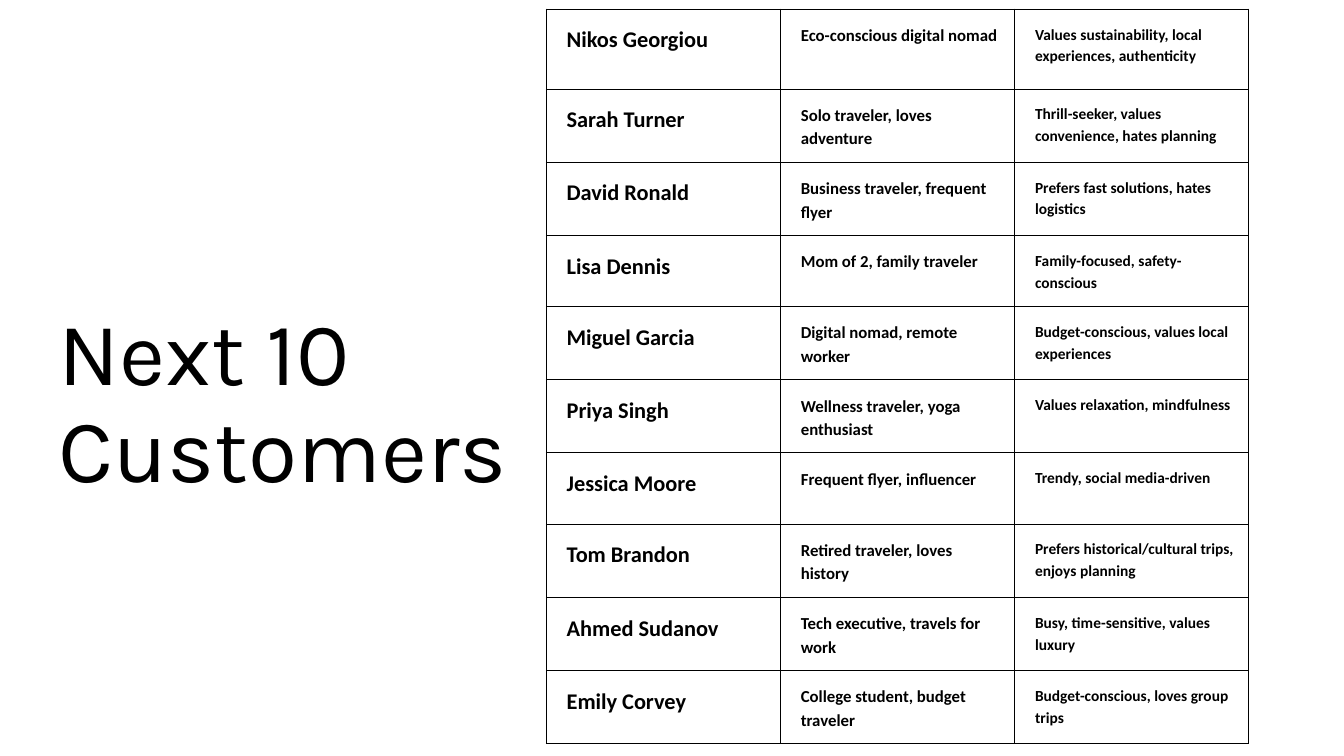
from dataclasses import dataclass

from pptx import Presentation
from pptx.dml.color import RGBColor as Color
from pptx.enum.text import MSO_ANCHOR as Anchor, PP_ALIGN as Align
from pptx.oxml import parse_xml
from pptx.oxml.ns import nsdecls
from pptx.util import Pt


@dataclass(frozen=True)
class Theme:
    ink: str = "000000"
    paper: str = "FFFFFF"
    title_font: str = "Karla"
    table_font: str = "Calibri"
    title_size: float = 64
    column_sizes: tuple = (16, 12, 11)
    border: float = 0.6
    inset: float = 9.6
    indent: float = 5


class SlideBuilder:
    def __init__(self, slide, theme):
        self.slide = slide
        self.theme = theme
        fill = slide.background.fill
        fill.solid()
        fill.fore_color.rgb = Color.from_string(theme.paper)

    def set_insets(self, target):
        """Same margin on all four sides of a text frame or a cell."""
        inset = Pt(self.theme.inset)
        target.margin_left = target.margin_right = inset
        target.margin_top = target.margin_bottom = inset

    def add_text(self, para, text, font, size, spacing, bold=False):
        para.alignment = Align.LEFT
        para.line_spacing = spacing
        span = para.add_run()
        span.text = text
        span.font.name = font
        span.font.size = Pt(size)
        span.font.bold = bold
        span.font.color.rgb = Color.from_string(self.theme.ink)

    def title(self, text, left, top, width, height):
        box = self.slide.shapes.add_textbox(Pt(left), Pt(top), Pt(width), Pt(height))
        frame = box.text_frame
        frame.word_wrap = True
        frame.vertical_anchor = Anchor.TOP
        self.set_insets(frame)
        self.add_text(frame.paragraphs[0], text, self.theme.title_font,
                      self.theme.title_size, 0.9)

    def border_cell(self, cell):
        properties = cell._tc.get_or_add_tcPr()
        for position, side in enumerate(("lnL", "lnR", "lnT", "lnB")):
            line = parse_xml(
                f'<a:{side} {nsdecls("a")} w="{Pt(self.theme.border)}"><a:solidFill>'
                f'<a:srgbClr val="{self.theme.ink}"/></a:solidFill></a:{side}>')
            properties.insert(position, line)

    def table(self, rows, left, top, column_width, row_heights):
        columns = len(rows[0])
        frame = self.slide.shapes.add_table(
            len(rows), columns, Pt(left), Pt(top),
            Pt(column_width * columns), Pt(sum(row_heights)))
        grid = frame.table
        grid.first_row = grid.horz_banding = False
        for column in grid.columns:
            column.width = Pt(column_width)
        for row, height, texts in zip(grid.rows, row_heights, rows):
            row.height = Pt(height)
            for cell, text, size in zip(row.cells, texts, self.theme.column_sizes):
                cell.fill.background()
                cell.vertical_anchor = Anchor.TOP
                self.set_insets(cell)
                self.border_cell(cell)
                para = cell.text_frame.paragraphs[0]
                self.add_text(para, text, self.theme.table_font, size, 1.15, bold=True)
                para._p.get_or_add_pPr().set("marL", str(Pt(self.theme.indent)))


# Name, profile and traits of each customer
CUSTOMERS = [
    ("Nikos Georgiou", "Eco-conscious digital nomad",
     "Values sustainability, local experiences, authenticity"),
    ("Sarah Turner", "Solo traveler, loves adventure",
     "Thrill-seeker, values convenience, hates planning"),
    ("David Ronald", "Business traveler, frequent flyer",
     "Prefers fast solutions, hates logistics"),
    ("Lisa Dennis", "Mom of 2, family traveler",
     "Family-focused, safety-conscious"),
    ("Miguel Garcia", "Digital nomad, remote worker",
     "Budget-conscious, values local experiences"),
    ("Priya Singh", "Wellness traveler, yoga enthusiast",
     "Values relaxation, mindfulness"),
    ("Jessica Moore", "Frequent flyer, influencer",
     "Trendy, social media-driven"),
    ("Tom Brandon", "Retired traveler, loves history",
     "Prefers historical/cultural trips, enjoys planning"),
    ("Ahmed Sudanov", "Tech executive, travels for work",
     "Busy, time-sensitive, values luxury"),
    ("Emily Corvey", "College student, budget traveler",
     "Budget-conscious, loves group trips"),
]


def main():
    deck = Presentation()
    deck.slide_width, deck.slide_height = Pt(960), Pt(540)
    page = SlideBuilder(deck.slides.add_slide(deck.slide_layouts[6]), Theme())

    # Heading on the left
    page.title("Next 10 Customers", 32.4, 210.5, 348.5, 180)

    # Customer table on the right, with a taller first row
    row_heights = [57] + [50.8] * (len(CUSTOMERS) - 1)
    page.table(CUSTOMERS, 390.2, 6.5, 167.3, row_heights)

    deck.save("out.pptx")


if __name__ == "__main__":
    main()
